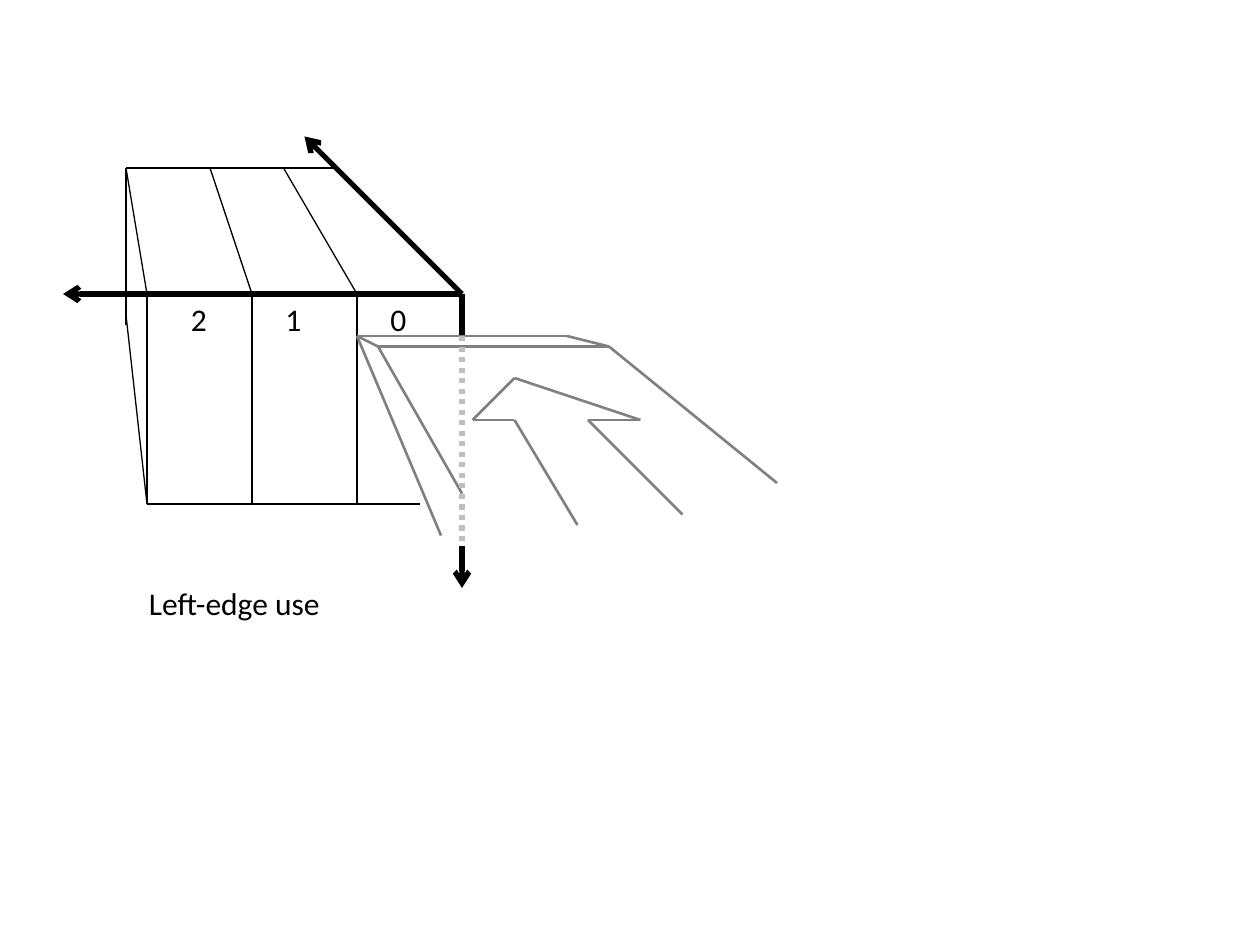
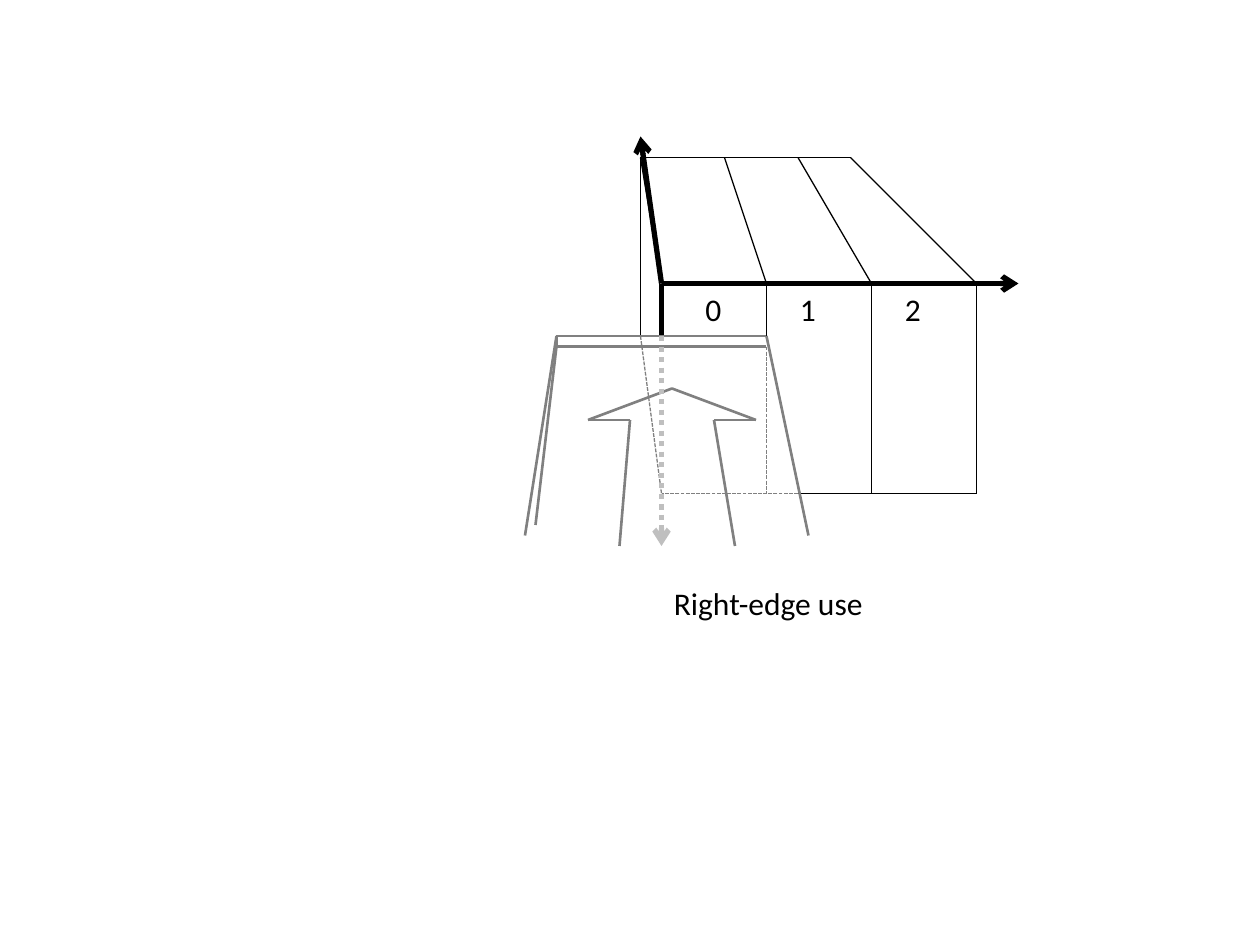
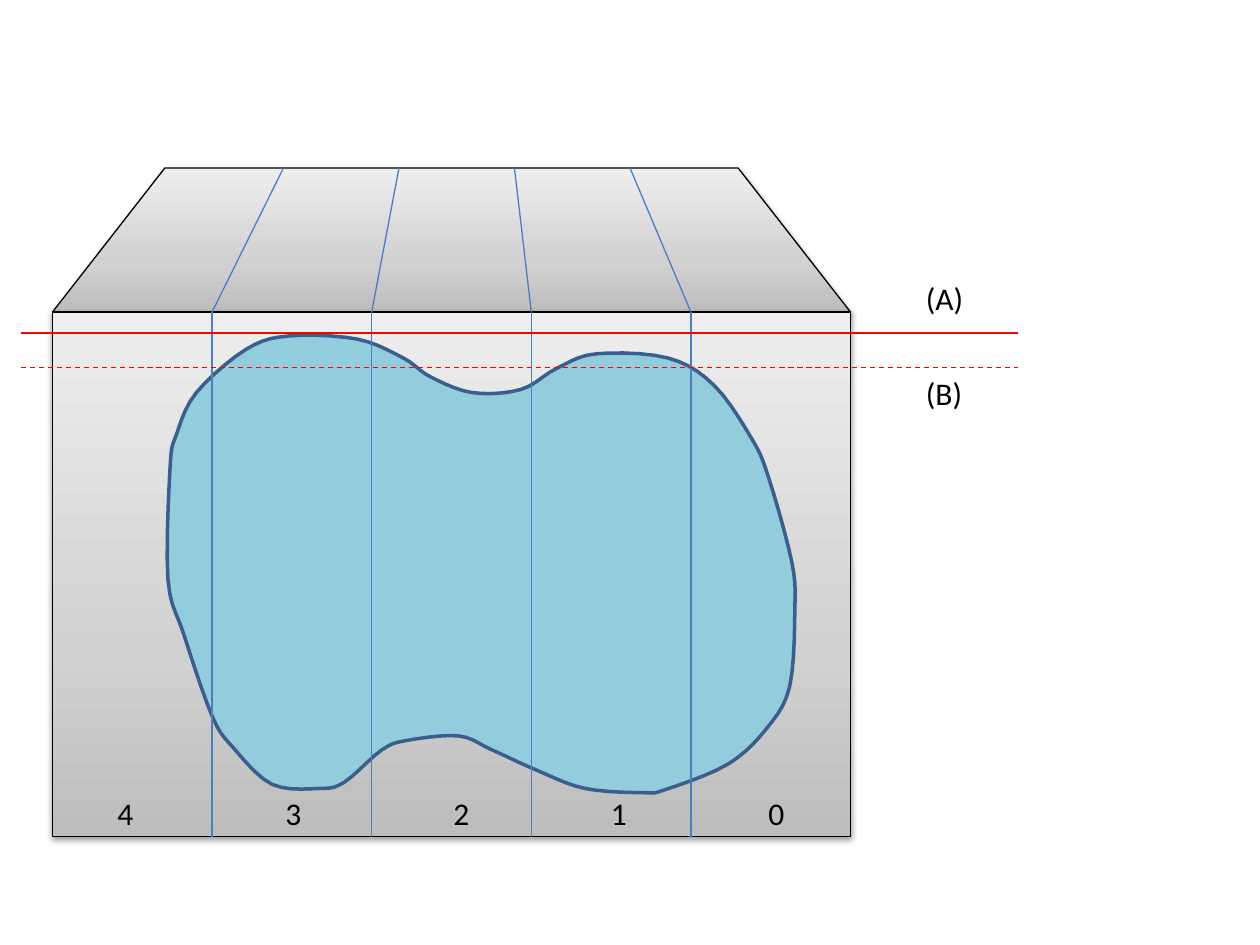
from dataclasses import dataclass
from itertools import pairwise
from typing import Iterable, NamedTuple, Optional

import pptx
import pptx.dml.color
import pptx.enum.dml
import pptx.enum.shapes
import pptx.enum.text
import pptx.oxml.ns
import pptx.shapes.autoshape
import pptx.shapes.shapetree
import pptx.util
from lxml import etree

RGBColor = pptx.dml.color.RGBColor
Cm = pptx.util.Cm
Dash = pptx.enum.dml.MSO_LINE
Preset = pptx.enum.shapes.MSO_SHAPE
Shapes = pptx.shapes.shapetree._BaseGroupShapes
qn = pptx.oxml.ns.qn

BLACK = RGBColor(0x00, 0x00, 0x00)
GRAY = RGBColor(0x80, 0x80, 0x80)
SILVER = RGBColor(0xBF, 0xBF, 0xBF)
RED = RGBColor(0xFF, 0x00, 0x00)
BLUE = RGBColor(0x4B, 0x7E, 0xBC)
BLOB_FILL = RGBColor(0x93, 0xCD, 0xDD)
BLOB_LINE = RGBColor(0x3A, 0x5F, 0x8C)
PANEL_STOPS = (
    (0, RGBColor(0xBD, 0xBD, 0xBD)),
    (35, RGBColor(0xD1, 0xD1, 0xD1)),
    (100, RGBColor(0xEE, 0xEE, 0xEE)),
)

FONT = "Calibri"
INCH_CM = 2.54
STEPS_PER_INCH = 12
LABEL_HEIGHT = 4.8
DIGIT_WIDTH = 4
DIGIT_SHIFTS = (3, 2, 2)
CAPTION_TOP = 55

Point = tuple[float, float]


@dataclass(frozen=True)
class Pen:
    colour: RGBColor
    width: float
    dash: Optional[Dash] = None


class Stroke(NamedTuple):
    pen: Pen
    points: tuple[Point, ...]
    arrow: bool = False


class Label(NamedTuple):
    text: str
    left: float
    top: float
    width: float = DIGIT_WIDTH


class Panel(NamedTuple):
    preset: Preset
    top: float
    bottom: float


@dataclass(frozen=True)
class Crate:
    left: float
    top: float

    def rear(self, divider: int) -> Point:
        return self.left + (0, 8, 15, 20)[divider], self.top

    def front(self, divider: int) -> Point:
        return self.left + 2 + 10 * divider, self.top + 12

    def base(self, divider: int) -> Point:
        x, y = self.front(divider)
        return x, y + 20

    def digits(self, text: str) -> tuple[Label, ...]:
        return tuple(
            Label(digit, self.front(slot)[0] + shift, self.front(slot)[1])
            for slot, (digit, shift) in enumerate(zip(text, DIGIT_SHIFTS))
        )


AXIS = Pen(BLACK, 3)
AXIS_BEHIND = Pen(SILVER, 3, Dash.ROUND_DOT)
EDGE = Pen(BLACK, 0.75)
EDGE_BEHIND = Pen(GRAY, 0.75, Dash.SQUARE_DOT)
BOARD = Pen(GRAY, 1.5)
DIVIDER = Pen(BLUE, 0.75)
LEVEL_A = Pen(RED, 0.75)
LEVEL_B = Pen(RED, 0.75, Dash.DASH)


def below(point: Point, steps: float) -> Point:
    return point[0], point[1] + steps


def axes(origin: Point, side_tip: Point, depth_tip: Point, visible: float) -> tuple[Stroke, ...]:
    return (
        Stroke(AXIS, (origin, side_tip), True),
        Stroke(AXIS, (origin, below(origin, visible))),
        Stroke(AXIS, (origin, depth_tip), True),
    )


def left_edge_strokes(crate: Crate) -> tuple[Stroke, ...]:
    origin = crate.front(3)
    board_top, board_bottom = below(origin, 4), below(origin, 24)
    far_corner, near_corner = (34, 32), (36, 33)
    far_end, near_end = (54, 32), (58, 33)
    push_sign = ((55, 50), (49, 40), (45, 40), (49, 36), (61, 40), (56, 40), (65, 49))
    return (
        *axes(origin, (6, 28), (29, 13), 4),
        Stroke(EDGE, (crate.rear(3), crate.rear(0), crate.front(0), crate.base(0), (40, 48))),
        *(
            Stroke(EDGE, (crate.rear(divider), crate.front(divider), crate.base(divider)))
            for divider in (2, 1)
        ),
        Stroke(EDGE, (below(crate.rear(0), 15), crate.rear(0))),
        Stroke(EDGE, (crate.base(0), below(crate.rear(0), 14))),
        Stroke(BOARD, ((42, 51), far_corner, far_end, near_end, (74, 46))),
        Stroke(BOARD, (far_corner, near_corner, (44, 47))),
        Stroke(BOARD, (near_corner, near_end)),
        Stroke(BOARD, push_sign),
        Stroke(AXIS, (board_bottom, below(origin, 28)), True),
        Stroke(AXIS_BEHIND, (board_top, board_bottom)),
    )


def right_edge_strokes(crate: Crate) -> tuple[Stroke, ...]:
    origin = crate.front(0)
    rear_bottom = below(crate.rear(0), 17)
    board_side = (76, 47)
    far_corner, near_corner = (53, 32), (53, 33)
    far_end, near_end = (73, 32), (73, 33)
    push_sign = ((59, 52), (60, 40), (56, 40), (64, 37), (72, 40), (68, 40), (70, 52))
    return (
        *axes(origin, (97, 27), (61, 13), 5),
        Stroke(
            EDGE,
            (rear_bottom, crate.rear(0), crate.rear(3), crate.front(3), crate.base(3), board_side),
        ),
        Stroke(EDGE, (crate.rear(0), origin)),
        Stroke(EDGE, (crate.rear(2), crate.front(2), crate.base(2))),
        Stroke(EDGE, (crate.rear(1), crate.front(1), far_end)),
        Stroke(EDGE_BEHIND, (near_end, crate.base(1))),
        Stroke(EDGE_BEHIND, (rear_bottom, crate.base(0))),
        Stroke(EDGE_BEHIND, (board_side, crate.base(0))),
        Stroke(BOARD, ((50, 51), far_corner, far_end, (77, 51))),
        Stroke(BOARD, (far_corner, near_corner, (51, 50))),
        Stroke(BOARD, (near_corner, near_end)),
        Stroke(BOARD, push_sign),
        Stroke(AXIS_BEHIND, (below(origin, 5), below(origin, 25)), True),
    )


LEFT_CRATE = Crate(12, 16)
RIGHT_CRATE = Crate(61, 15)
EDGE_FIGURES = (
    (
        left_edge_strokes(LEFT_CRATE),
        LEFT_CRATE.digits("210") + (Label("Left-edge use", 13, CAPTION_TOP, 19.1),),
    ),
    (
        right_edge_strokes(RIGHT_CRATE),
        RIGHT_CRATE.digits("012") + (Label("Right-edge use", 63, CAPTION_TOP, 20.8),),
    ),
)

BOX_LEFT, BOX_WIDTH, SLOTS = 5, 76, 5
LID_TOP, FRONT_TOP, FRONT_BOTTOM = 16, 29.72, 79.67
LID_INSET = 0.78
LID_DIVIDER_START, LID_DIVIDER_GAP = 16, 11
LEVEL_LEFT, LEVEL_RIGHT = 2, 97
LEVEL_A_TOP, LEVEL_B_TOP = FRONT_TOP + 2, 35
SLOT_DIGIT_TOP = 75

PANELS = (
    Panel(Preset.TRAPEZOID, LID_TOP, FRONT_TOP),
    Panel(Preset.RECTANGLE, FRONT_TOP, FRONT_BOTTOM),
)
LEVELS = tuple(
    Stroke(pen, ((LEVEL_LEFT, top), (LEVEL_RIGHT, top)))
    for pen, top in ((LEVEL_B, LEVEL_B_TOP), (LEVEL_A, LEVEL_A_TOP))
)
SLOT_LABELS = tuple(
    Label(str(number), left, SLOT_DIGIT_TOP) for number, left in enumerate((72, 57, 42, 26, 10))
)
LEVEL_LABELS = (Label("(A)", 87, 26, 6), Label("(B)", 87, 35, 5.9))

LEFT_SIDE = ((17.5, 60.4), (16, 55.2), (16.2, 44.5), (16.8, 41.4), (18.7, 37.4))
LEFT_CREST = ((23.4, 33.3), (27.5, 32), (34, 32.3))
UPPER_WAIST = ((38.4, 34.1), (41, 35.9), (45, 37.4), (49.6, 37.1))
RIGHT_CREST = ((53, 35.1), (56.8, 33.7), (63.6, 34.1))
RIGHT_SIDE = ((68, 36.7), (71.6, 41.8), (73.2, 45.5), (75.4, 53.5), (75.7, 58.1), (75.2, 65.4))
RIGHT_FOOT = ((73, 69.4), (69.3, 72.8), (63.4, 75.2), (61.2, 75.5), (55.7, 75.1))
LOWER_WAIST = ((51.2, 73.4), (46.8, 71.4), (43.7, 70.1), (38.9, 70.5), (36.4, 71.4))
LEFT_FOOT = ((32.8, 74.5), (30.4, 75.1), (25.9, 74.7), (22.2, 71.2), (20.2, 68.2))
BLOB_KNOTS = (
    LEFT_SIDE + LEFT_CREST + UPPER_WAIST + RIGHT_CREST
    + RIGHT_SIDE + RIGHT_FOOT + LOWER_WAIST + LEFT_FOOT
)
CURVE_PIECES = 5


def grid(steps: float) -> Cm:
    return Cm(steps * INCH_CM / STEPS_PER_INCH)


def smooth_outline(knots: tuple[Point, ...]) -> list[Point]:
    def blend(before: float, start: float, end: float, after: float, t: float) -> float:
        slope = (end - before) / 2
        bend = before - 2.5 * start + 2 * end - after / 2
        twist = (after - before) / 2 + 1.5 * (start - end)
        return start + t * (slope + t * (bend + t * twist))

    count = len(knots)
    curve = []
    for index in range(count):
        near = [knots[(index + shift) % count] for shift in (-1, 0, 1, 2)]
        for piece in range(CURVE_PIECES):
            x, y = (blend(*axis, piece / CURVE_PIECES) for axis in zip(*near))
            curve.append((x, y))
    return curve


def colour_node(parent: etree._Element, colour: RGBColor) -> etree._Element:
    return etree.SubElement(parent, qn("a:srgbClr"), val=str(colour))


def draw_stroke(shapes: Shapes, stroke: Stroke) -> None:
    for start, end in pairwise(stroke.points):
        line = shapes.add_connector(
            pptx.enum.shapes.MSO_CONNECTOR.STRAIGHT, *map(grid, start + end)
        )
        line.line.color.rgb = stroke.pen.colour
        line.line.width = pptx.util.Pt(stroke.pen.width)
        if stroke.pen.dash is not None:
            line.line.dash_style = stroke.pen.dash
        properties = line._element.spPr
        if stroke.arrow:
            etree.SubElement(properties.find(qn("a:ln")), qn("a:tailEnd"), type="arrow")
        etree.SubElement(properties, qn("a:effectLst"))


def draw_label(shapes: Shapes, label: Label) -> None:
    box = shapes.add_textbox(*map(grid, (label.left, label.top, label.width, LABEL_HEIGHT)))
    frame = box.text_frame
    frame.word_wrap = False
    frame.auto_size = pptx.enum.text.MSO_AUTO_SIZE.SHAPE_TO_FIT_TEXT
    para = frame.paragraphs[0]
    para.text = label.text
    para.font.name = FONT
    para.font.size = pptx.util.Pt(18)
    para.font.color.rgb = BLACK


def draw_figure(shapes: Shapes, strokes: Iterable[Stroke], labels: Iterable[Label] = ()) -> None:
    for stroke in strokes:
        draw_stroke(shapes, stroke)
    for label in labels:
        draw_label(shapes, label)


def outline(shape: pptx.shapes.autoshape.Shape, colour: RGBColor, width: float) -> None:
    shape.line.color.rgb = colour
    shape.line.width = pptx.util.Pt(width)
    shape.shadow.inherit = False


def draw_panel(shapes: Shapes, panel: Panel) -> None:
    shape = shapes.add_shape(
        panel.preset, *map(grid, (BOX_LEFT, panel.top, BOX_WIDTH, panel.bottom - panel.top))
    )
    if panel.preset == Preset.TRAPEZOID:
        shape.adjustments[0] = LID_INSET
    shape.fill.gradient()
    shape.fill.gradient_angle = 90
    properties = shape._element.spPr
    stops = properties.find(".//" + qn("a:gsLst"))
    for stop in list(stops):
        stops.remove(stop)
    for percent, colour in PANEL_STOPS:
        colour_node(etree.SubElement(stops, qn("a:gs"), pos=str(percent * 1000)), colour)
    outline(shape, BLACK, 0.75)
    shadow = etree.SubElement(
        properties.find(qn("a:effectLst")),
        qn("a:outerShdw"),
        blurRad=str(pptx.util.Pt(3.1)),
        dist=str(pptx.util.Pt(1.6)),
        dir="5400000",
        rotWithShape="0",
    )
    etree.SubElement(colour_node(shadow, BLACK), qn("a:alpha"), val="38000")


def draw_blob(shapes: Shapes) -> None:
    first, *others = [(grid(x), grid(y)) for x, y in smooth_outline(BLOB_KNOTS)]
    builder = shapes.build_freeform(*first)
    builder.add_line_segments(others, close=True)
    blob = builder.convert_to_shape()
    blob.fill.solid()
    blob.fill.fore_color.rgb = BLOB_FILL
    outline(blob, BLOB_LINE, 2)


def draw_dividers(shapes: Shapes) -> None:
    for slot in range(SLOTS - 1, 0, -1):
        rear = LID_DIVIDER_START + LID_DIVIDER_GAP * slot
        front = BOX_LEFT + BOX_WIDTH / SLOTS * slot
        points = ((rear, LID_TOP), (front, FRONT_TOP), (front, FRONT_BOTTOM))
        draw_stroke(shapes, Stroke(DIVIDER, points))


def main() -> None:
    deck = pptx.Presentation()
    deck.slide_width = Cm(25.4)
    deck.slide_height = Cm(19.05)
    blank = deck.slide_layouts[6]

    for strokes, labels in EDGE_FIGURES:
        page = deck.slides.add_slide(blank)
        draw_figure(page.shapes.add_group_shape().shapes, strokes, labels)

    page = deck.slides.add_slide(blank)
    container = page.shapes.add_group_shape().shapes
    for panel in PANELS:
        draw_panel(container, panel)
    draw_blob(container)
    draw_dividers(container)
    draw_figure(page.shapes, LEVELS, SLOT_LABELS + LEVEL_LABELS)

    deck.save("out.pptx")


if __name__ == "__main__":
    main()
